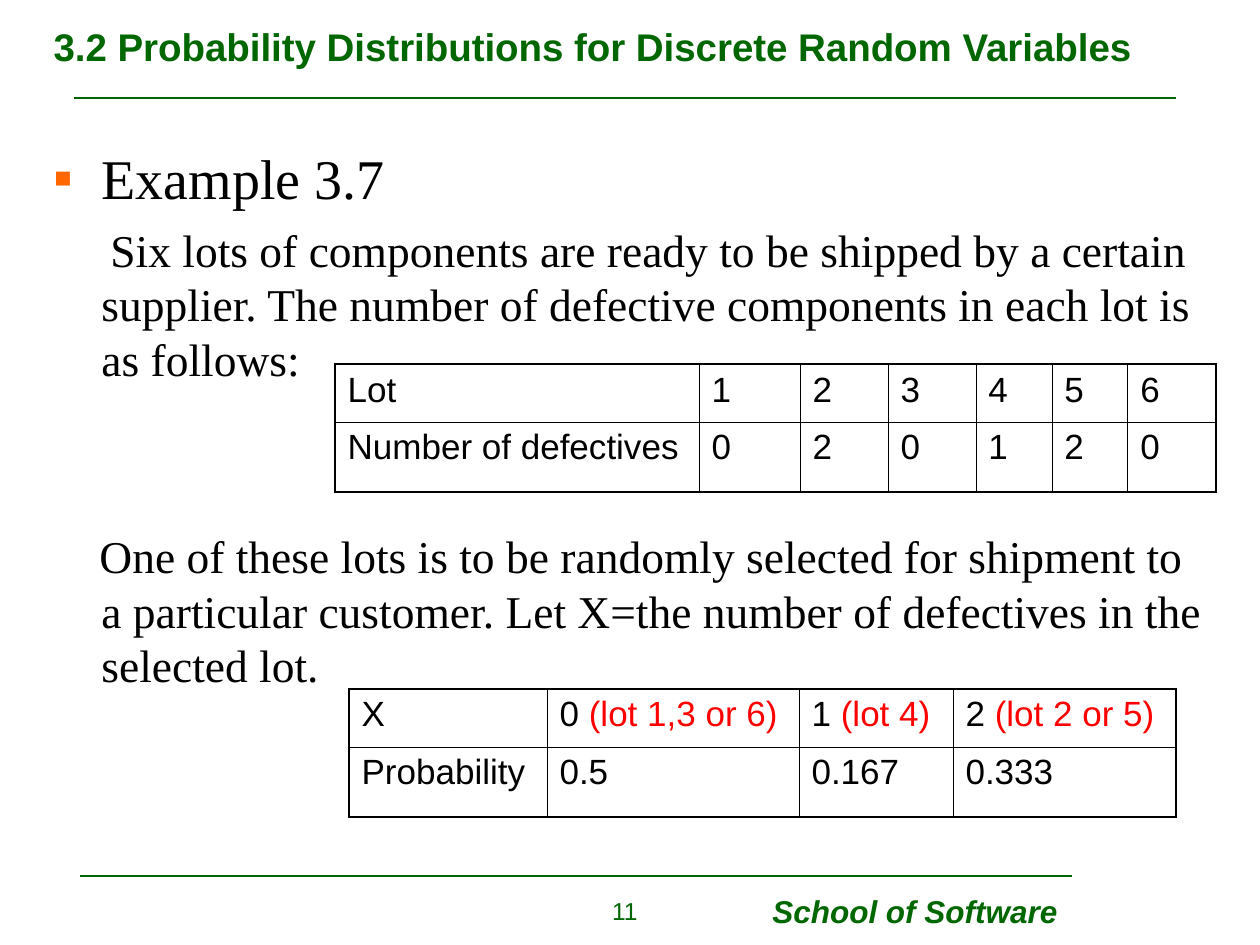
from lxml.etree import SubElement
from pptx import Presentation
from pptx.dml.color import RGBColor as Rgb
from pptx.enum.shapes import MSO_CONNECTOR as Conn
from pptx.enum.text import MSO_ANCHOR as Anchor, PP_ALIGN as Align
from pptx.oxml.ns import qn
from pptx.util import Emu, Pt

PX = 914400 / 126
HUES = {"green": "006600", "black": "000000", "red": "FF0000", "orange": "FF6600"}


def px(*nums):
    return [Emu(round(n * PX)) for n in nums]


def write(par, text, hue, size, face="Arial", **style):
    run = par.add_run()
    run.text = text
    run.font.color.rgb = Rgb.from_string(HUES[hue])
    for key, val in {"size": Pt(size), "name": face, **style}.items():
        setattr(run.font, key, val)


deck = Presentation()
deck.slide_width, deck.slide_height = px(1260, 945)
slide = deck.slides.add_slide(deck.slide_layouts[5])
shapes = slide.shapes

# Title
title = shapes.title
title.left, title.top, title.width, title.height = px(41, 3, 1177, 86)
title.text_frame.vertical_anchor = Anchor.MIDDLE
par = title.text_frame.paragraphs[0]
par.alignment = Align.LEFT
write(par, "3.2 Probability Distributions for Discrete Random Variables",
      "green", 22, bold=True)

# Rules under the title and above the footer
for left, right, y in [(74, 1176, 98), (80, 1072, 876)]:
    rule = shapes.add_connector(Conn.STRAIGHT, *px(left, y, right, y))
    rule.line.color.rgb = Rgb.from_string(HUES["green"])
    rule.line.width = Pt(1.5)
    SubElement(rule._element.spPr, qn("a:effectLst"))

# Footer: school name and page number
school = shapes.add_textbox(*px(760, 886, 340, 50)).text_frame
school.word_wrap = True
write(school.paragraphs[0], "School of Software", "green", 18, bold=True, italic=True)
page = shapes.add_textbox(*px(522, 890, 128, 45)).text_frame
page.word_wrap = True
page.paragraphs[0].alignment = Align.RIGHT
write(page.paragraphs[0], "11", "green", 14)

# Body: text, size, first-line indent in px, space before in points
body = shapes.add_textbox(*px(41, 137, 1178, 728)).text_frame
body.word_wrap = True
PARTS = [
    ("Example 3.7", 32, -48, 0),
    ("Six lots of components are ready to be shipped by a certain supplier. "
     "The number of defective components in each lot is as follows:", 26, 9, 6.5),
    ("One of these lots is to be randomly selected for shipment to a particular "
     "customer. Let X=the number of defectives in the selected lot.", 26, -2, 81.5),
]
for i, (text, size, indent, gap) in enumerate(PARTS):
    par = body.add_paragraph() if i else body.paragraphs[0]
    props = par._p.get_or_add_pPr()
    for key, val in zip(("marL", "indent"), px(48, indent)):
        props.set(key, str(val))
    if i == 0:
        tint = SubElement(props, qn("a:buClr"))
        SubElement(tint, qn("a:srgbClr"), val=HUES["orange"])
        SubElement(props, qn("a:buFont"), typeface="Arial")
        SubElement(props, qn("a:buChar"), char="▪")
    if gap:
        par.space_before = Pt(gap)
    write(par, text, "black", size, "Times New Roman")

# Tables: place, column widths, rows of text; bracketed notes are red
TABLES = [
    (335, 364, [364, 101, 88, 88, 76, 76, 88],
     [["Lot", "1", "2", "3", "4", "5", "6"],
      ["Number of defectives", "0", "2", "0", "1", "2", "0"]]),
    (349, 689, [198, 252, 154, 223],
     [["X", "0 (lot 1,3 or 6)", "1 (lot 4)", "2 (lot 2 or 5)"],
      ["Probability", "0.5", "0.167", "0.333"]]),
]
HIGH = [58, 70]
for left, top, wide, rows in TABLES:
    frame = shapes.add_table(len(rows), len(wide), *px(left, top, sum(wide), sum(HIGH)))
    table = frame.table
    table.first_row = table.horz_banding = False
    for col, size in zip(table.columns, px(*wide)):
        col.width = size
    for row, size in zip(table.rows, px(*HIGH)):
        row.height = size
    for r, row in enumerate(rows):
        for c, text in enumerate(row):
            cell = table.cell(r, c)
            par = cell.text_frame.paragraphs[0]
            head, mark, note = text.partition("(")
            write(par, head, "black", 20)
            if note:
                write(par, mark + note, "red", 20)
            # Thick outer frame, thin inner grid
            outer = {"L": c == 0, "R": c == len(wide) - 1,
                     "T": r == 0, "B": r == len(rows) - 1}
            props = cell._tc.get_or_add_tcPr()
            for side, edge in outer.items():
                line = SubElement(props, qn(f"a:ln{side}"),
                                  w=str(Pt(1.08 if edge else 0.45)))
                fill = SubElement(line, qn("a:solidFill"))
                SubElement(fill, qn("a:srgbClr"), val=HUES["black"])
            cell.fill.background()

deck.save("out.pptx")
